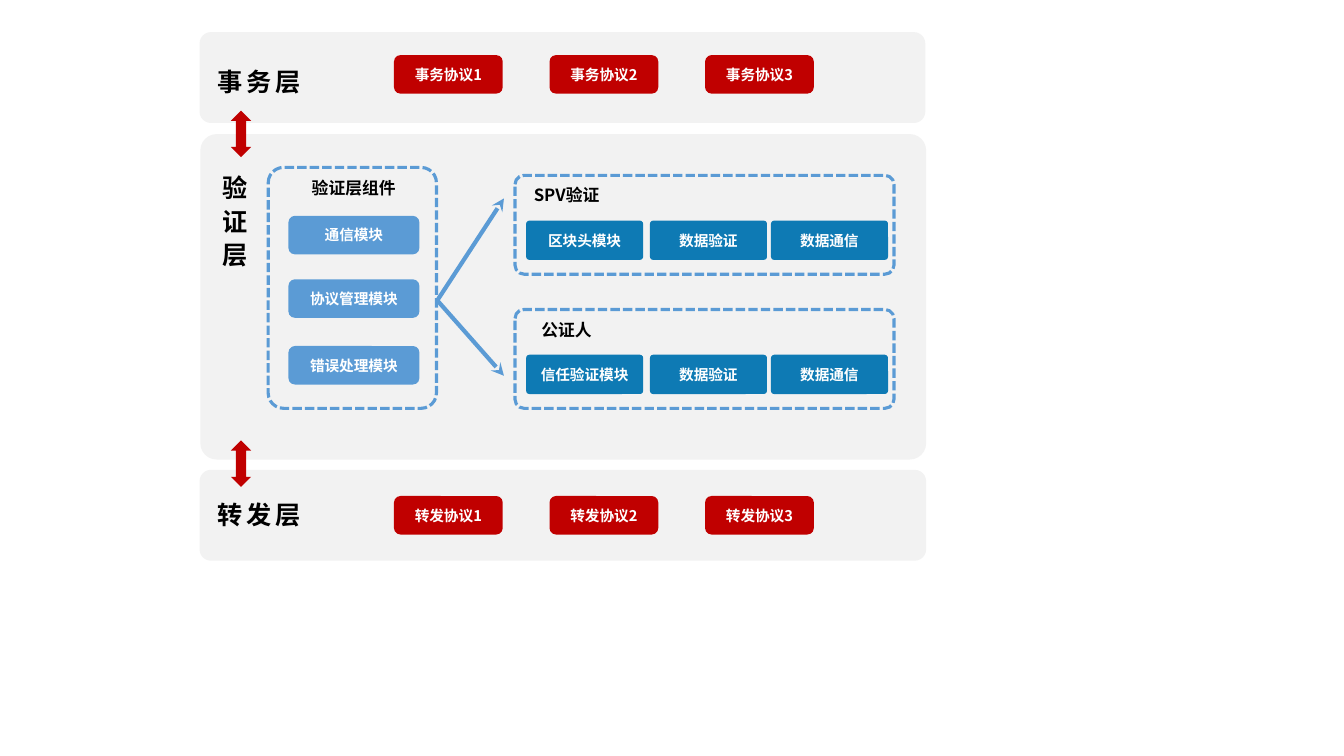
from lxml import etree
from pptx import Presentation
from pptx.dml.color import RGBColor
from pptx.enum.dml import MSO_LINE
from pptx.enum.shapes import MSO_CONNECTOR, MSO_SHAPE
from pptx.enum.text import MSO_ANCHOR, PP_ALIGN
from pptx.oxml.ns import qn
from pptx.util import Cm, Pt

COLORS = {
    "panel": "F2F2F2",
    "red": "C00000",
    "blue": "5B9BD5",
    "deep_blue": "0E7AB4",
    "white": "FFFFFF",
    "black": "000000",
}
CJK_FONT = "Noto Sans CJK SC"


def rgb(name):
    return RGBColor.from_string(COLORS[name])


def write(sp, text, size=10.5, color="white", font=CJK_FONT, spacing=0, vertical=False):
    """Put one bold, centred line of text into a shape."""
    tf = sp.text_frame
    tf.word_wrap = True
    tf.vertical_anchor = MSO_ANCHOR.MIDDLE
    tf.margin_left = tf.margin_right = tf.margin_top = tf.margin_bottom = 0
    if vertical:
        tf._txBody.bodyPr.set("vert", "eaVert")
    p = tf.paragraphs[0]
    p.alignment = PP_ALIGN.CENTER
    r = p.add_run()
    r.text = text
    r.font.size = Pt(size)
    r.font.bold = True
    r.font.color.rgb = rgb(color)
    r.font.name = font
    rpr = r.font._element
    etree.SubElement(rpr, qn("a:ea")).set("typeface", CJK_FONT)
    if spacing:
        rpr.set("spc", str(spacing * 100))


def add_label(slide, x, y, w, h, text, **fmt):
    sp = slide.shapes.add_textbox(Cm(x), Cm(y), Cm(w), Cm(h))
    write(sp, text, color="black", **fmt)


def add_block(slide, x, y, w, h, fill=None, radius=None, text=None, kind=MSO_SHAPE.ROUNDED_RECTANGLE):
    """Add a filled shape, or a dashed frame when there is no fill."""
    sp = slide.shapes.add_shape(kind, Cm(x), Cm(y), Cm(w), Cm(h))
    sp.shadow.inherit = False
    if radius is not None:
        sp.adjustments[0] = radius
    if fill:
        sp.fill.solid()
        sp.fill.fore_color.rgb = rgb(fill)
        sp.line.fill.background()
    else:
        sp.fill.background()
        sp.line.color.rgb = rgb("blue")
        sp.line.width = Pt(2.25)
        sp.line.dash_style = MSO_LINE.SQUARE_DOT
    if text:
        write(sp, text)


def add_protocol_layer(slide, x, y, w, h, name, protocol, name_dy, protocol_dy):
    add_block(slide, x, y, w, h, fill="panel", radius=0.126)
    add_label(slide, x - 0.48, y + name_dy, 3.96, 1.02, name, size=18, font="Calibri", spacing=3)
    for i in range(3):
        add_block(slide, x + 4.9 + i * 3.92, y + protocol_dy, 2.74, 0.97,
                  fill="red", text=f"{protocol}{i + 1}")


def add_components(slide, x, y, w, h):
    add_block(slide, x, y, w, h, radius=0.091)
    add_label(slide, x + 0.53, y + 0.13, 3.25, 0.76, "验证层组件", size=12)
    modules = [("通信模块", 1.22), ("协议管理模块", 2.82), ("错误处理模块", 4.5)]
    for text, dy in modules:
        add_block(slide, x + 0.51, y + dy, 3.3, 0.97, fill="blue", text=text)


def add_verifier(slide, x, y, w, h, title, modules):
    add_block(slide, x, y, w, h, radius=0.091)
    add_label(slide, x + 0.1, y + 0.12, 2.4, 0.76, title, size=12)
    for text, dx in zip(modules, (0.28, 3.4, 6.45)):
        add_block(slide, x + dx, y + 1.14, 2.95, 0.99, fill="deep_blue", radius=0.083, text=text)


def add_arrow(slide, x1, y1, x2, y2):
    cn = slide.shapes.add_connector(MSO_CONNECTOR.STRAIGHT, Cm(x1), Cm(y1), Cm(x2), Cm(y2))
    cn.line.color.rgb = rgb("blue")
    cn.line.width = Pt(3)
    etree.SubElement(cn.line._get_or_add_ln(), qn("a:tailEnd")).set("type", "stealth")
    etree.SubElement(cn._element.spPr, qn("a:effectLst"))


def add_verification_layer(slide, x, y, w, h):
    add_block(slide, x, y, w, h, fill="panel", radius=0.05)
    add_label(slide, x + 0.23, y + 1.04, 1.27, 3, "验证层", size=18, spacing=6, vertical=True)
    add_components(slide, x + 1.71, y + 0.84, 4.24, 6.07)
    verifiers = [
        ("SPV验证", 1.04, ["区块头模块", "数据验证", "数据通信"]),
        ("公证人", 4.42, ["信任验证模块", "数据验证", "数据通信"]),
    ]
    for title, dy, modules in verifiers:
        add_verifier(slide, x + 7.93, y + dy, 9.55, 2.49, title, modules)
    for end_dy in (1.62, 6.09):
        add_arrow(slide, x + 5.97, y + 4.19, x + 7.65, y + end_dy)


def main():
    prs = Presentation()
    prs.slide_width, prs.slide_height = Cm(33.87), Cm(19.05)
    slide = prs.slides.add_slide(prs.slide_layouts[6])
    add_protocol_layer(slide, 5.03, 0.81, 18.29, 2.29, "事务层", "事务协议", 0.74, 0.58)
    add_protocol_layer(slide, 5.03, 11.84, 18.31, 2.29, "转发层", "转发协议", 0.61, 0.66)
    add_verification_layer(slide, 5.05, 3.38, 18.29, 8.2)
    for y in (2.79, 11.1):
        add_block(slide, 5.82, y, 0.51, 1.17, fill="red", kind=MSO_SHAPE.UP_DOWN_ARROW)
    prs.save("out.pptx")


if __name__ == "__main__":
    main()
